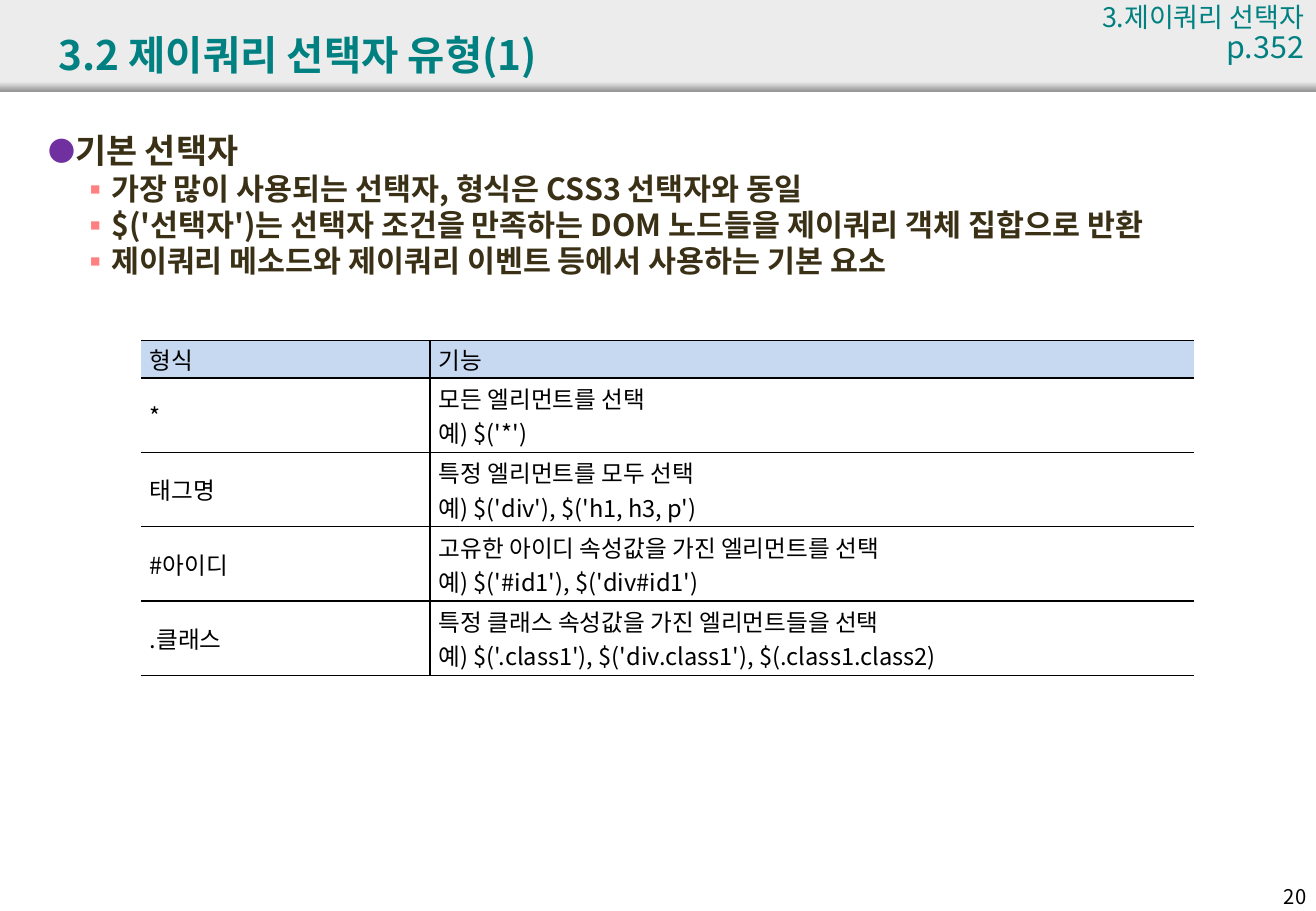
from lxml.etree import SubElement
from pptx import Presentation
from pptx.dml.color import RGBColor
from pptx.enum.shapes import MSO_SHAPE
from pptx.enum.text import MSO_ANCHOR, PP_ALIGN
from pptx.oxml.ns import qn
from pptx.util import Cm, Pt

FONT = "Noto Sans CJK KR"
TEAL, BROWN, BLACK = "008080", "3A3016", "000000"
BAND, STRIP_END, HEADING_FILL = "ECECEC", "979797", "C6D9F1"
SLIDE_WIDTH, SLIDE_HEIGHT = 27.51, 19.05

POINTS = [
    (0, "기본 선택자"),
    (1, "가장 많이 사용되는 선택자, 형식은 CSS3 선택자와 동일"),
    (1, "$('선택자')는 선택자 조건을 만족하는 DOM 노드들을 제이쿼리 객체 집합으로 반환"),
    (1, "제이쿼리 메소드와 제이쿼리 이벤트 등에서 사용하는 기본 요소"),
]
LEVELS = [
    {"size": 20, "indent": 0.51, "bullet": "●", "hue": "7030A0", "percent": 80},
    {"size": 18, "indent": 1.19, "bullet": "▪", "hue": "FF8080", "percent": 100},
]
SELECTORS = [
    ("형식", ["기능"]),
    ("*", ["모든 엘리먼트를 선택", "예) $('*')"]),
    ("태그명", ["특정 엘리먼트를 모두 선택", "예) $('div'), $('h1, h3, p')"]),
    ("#아이디", ["고유한 아이디 속성값을 가진 엘리먼트를 선택",
              "예) $('#id1'), $('div#id1')"]),
    (".클래스", ["특정 클래스 속성값을 가진 엘리먼트들을 선택",
              "예) $('.class1'), $('div.class1'), $(.class1.class2)"]),
]


def colour(value):
    return RGBColor.from_string(value)


def add_run(paragraph, text, size, hue, bold=False):
    run = paragraph.add_run()
    run.text = text
    run.font.size = Pt(size)
    run.font.name = FONT
    run.font.bold = bold
    run.font.color.rgb = colour(hue)
    SubElement(run.font._element, qn("a:ea"), typeface=FONT)


def add_text_frame(slide, box, wrap=True):
    frame = slide.shapes.add_textbox(*map(Cm, box)).text_frame
    frame.word_wrap = wrap
    return frame


def add_bar(slide, left, top, width, height):
    bar = slide.shapes.add_shape(MSO_SHAPE.RECTANGLE, Cm(left), Cm(top), Cm(width), Cm(height))
    bar.shadow.inherit = False
    bar.line.fill.background()
    return bar


def add_header(slide, left, top, width, height):
    strip_height = 0.2
    band = add_bar(slide, left, top, width, height)
    band.fill.solid()
    band.fill.fore_color.rgb = colour(BAND)
    strip = add_bar(slide, left, top + height - strip_height, width, strip_height)
    strip.fill.gradient()
    strip.fill.gradient_angle = 270
    for stop, hue in zip(strip.fill.gradient_stops, (BAND, STRIP_END)):
        stop.color.rgb = colour(hue)

    title = slide.shapes.title
    title.left, title.top = Cm(left + 0.97), Cm(top + 0.33)
    title.width, title.height = Cm(25.2), Cm(1.6)
    title.text_frame.vertical_anchor = MSO_ANCHOR.MIDDLE
    heading = title.text_frame.paragraphs[0]
    heading.alignment = PP_ALIGN.LEFT
    add_run(heading, "3.2 제이쿼리 선택자 유형(1)", 24, TEAL, True)
    slide.shapes._spTree.append(title._element)

    chapter_width = 4.9
    chapter_box = (left + width - chapter_width, top, chapter_width, 1.6)
    chapter = add_text_frame(slide, chapter_box, False).paragraphs[0]
    chapter.alignment = PP_ALIGN.RIGHT
    chapter.line_spacing = 0.85
    add_run(chapter, "3.제이쿼리 선택자", 16, TEAL)
    chapter.add_line_break()
    add_run(chapter, "p.352", 18, TEAL)


def add_points(slide, *box):
    frame = add_text_frame(slide, box)
    for index, (depth, text) in enumerate(POINTS):
        level = LEVELS[depth]
        point = frame.add_paragraph() if index else frame.paragraphs[0]
        point.level = depth
        point.line_spacing = 0.85
        point.space_before = Pt(3)
        properties = point._p.get_or_add_pPr()
        properties.set("marL", str(Cm(level["indent"])))
        properties.set("indent", str(-Cm(0.51)))
        bullet_colour = SubElement(properties, qn("a:buClr"))
        SubElement(bullet_colour, qn("a:srgbClr"), val=level["hue"])
        SubElement(properties, qn("a:buSzPct"), val=str(level["percent"] * 1000))
        SubElement(properties, qn("a:buFont"), typeface=FONT)
        SubElement(properties, qn("a:buChar"), char=level["bullet"])
        add_run(point, text, level["size"], BROWN, True)


def set_borders(cell, drawn_sides):
    properties = cell._tc.get_or_add_tcPr()
    for position, side in enumerate(("lnL", "lnR", "lnT", "lnB")):
        border = properties.makeelement(qn(f"a:{side}"), {"w": str(Pt(1))})
        properties.insert(position, border)
        if side in drawn_sides:
            fill = SubElement(border, qn("a:solidFill"))
            SubElement(fill, qn("a:srgbClr"), val=BLACK)
        else:
            SubElement(border, qn("a:noFill"))


def fill_cell(cell, lines):
    cell.margin_left = cell.margin_right = Cm(0.18)
    cell.margin_top = cell.margin_bottom = 0
    cell.vertical_anchor = MSO_ANCHOR.MIDDLE
    for index, text in enumerate(lines):
        frame = cell.text_frame
        line = frame.add_paragraph() if index else frame.paragraphs[0]
        line.alignment = PP_ALIGN.JUSTIFY
        add_run(line, text, 14, BLACK)


def add_selector_table(slide, left, top, width, height):
    format_width, heading_height = 6.04, 0.78
    row_height = (height - heading_height) / (len(SELECTORS) - 1)
    table = slide.shapes.add_table(
        len(SELECTORS), 2, Cm(left), Cm(top), Cm(width), Cm(height)).table
    table.first_row = table.horz_banding = False
    table.columns[0].width = Cm(format_width)
    table.columns[1].width = Cm(width - format_width)
    for index, (selector, purpose) in enumerate(SELECTORS):
        table.rows[index].height = Cm(row_height if index else heading_height)
        for column, lines in enumerate(([selector], purpose)):
            cell = table.cell(index, column)
            fill_cell(cell, lines)
            if index:
                cell.fill.background()
            else:
                cell.fill.solid()
                cell.fill.fore_color.rgb = colour(HEADING_FILL)
            set_borders(cell, ("lnT", "lnB", "lnL" if column else "lnR"))


def add_page_number(slide, *box):
    number = add_text_frame(slide, box).paragraphs[0]
    number.alignment = PP_ALIGN.RIGHT
    add_run(number, "20", 12, BLACK)


def main():
    presentation = Presentation()
    presentation.slide_width = Cm(SLIDE_WIDTH)
    presentation.slide_height = Cm(SLIDE_HEIGHT)
    slide = presentation.slides.add_slide(presentation.slide_layouts[5])
    add_header(slide, 0, 0, SLIDE_WIDTH, 1.91)
    add_points(slide, 0.76, 2.72, 26.21, 4)
    add_selector_table(slide, 2.95, 7.12, 22.01, 7.01)
    add_page_number(slide, 26.16, 18.36, 1.4, 0.76)
    presentation.save("out.pptx")


if __name__ == "__main__":
    main()
